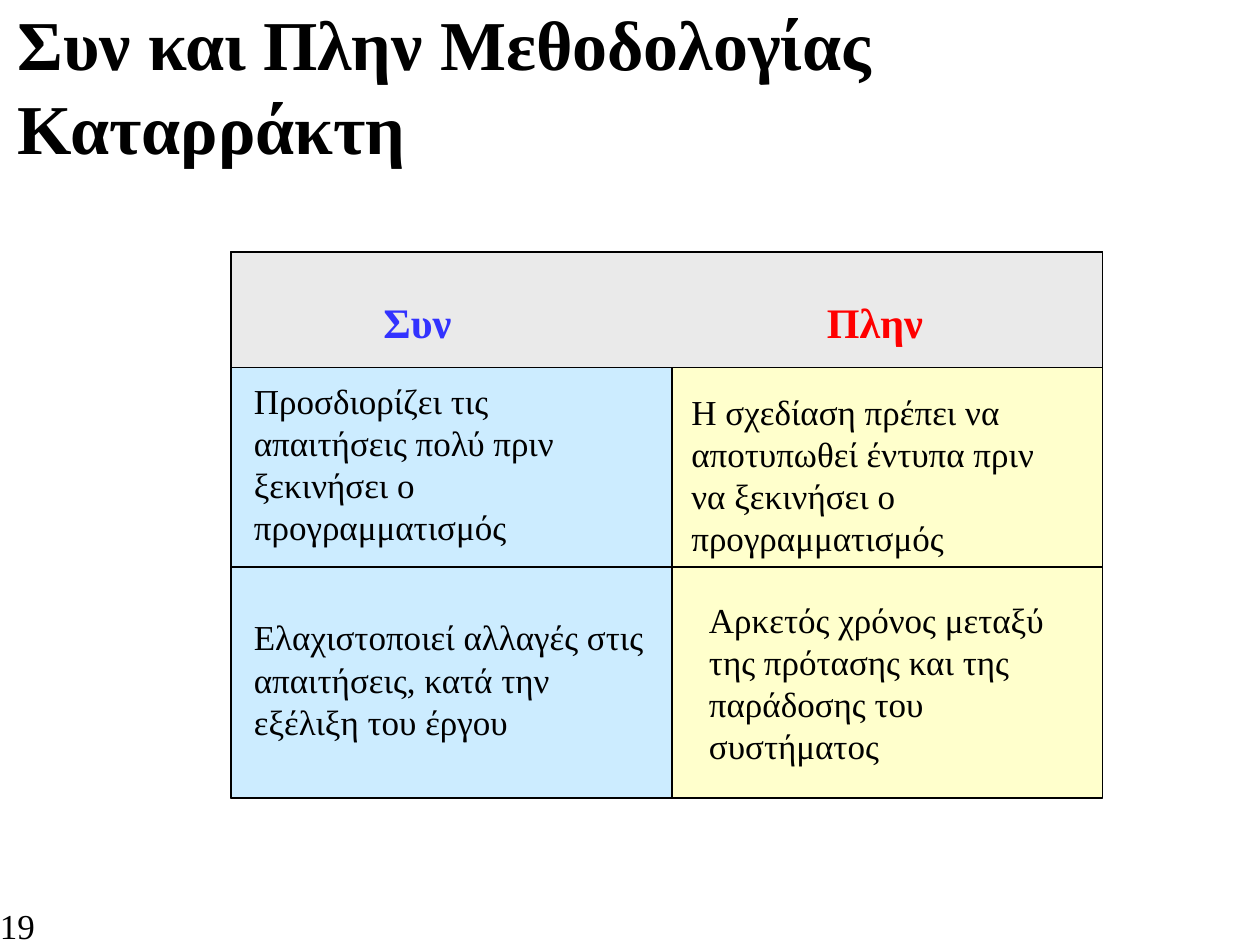
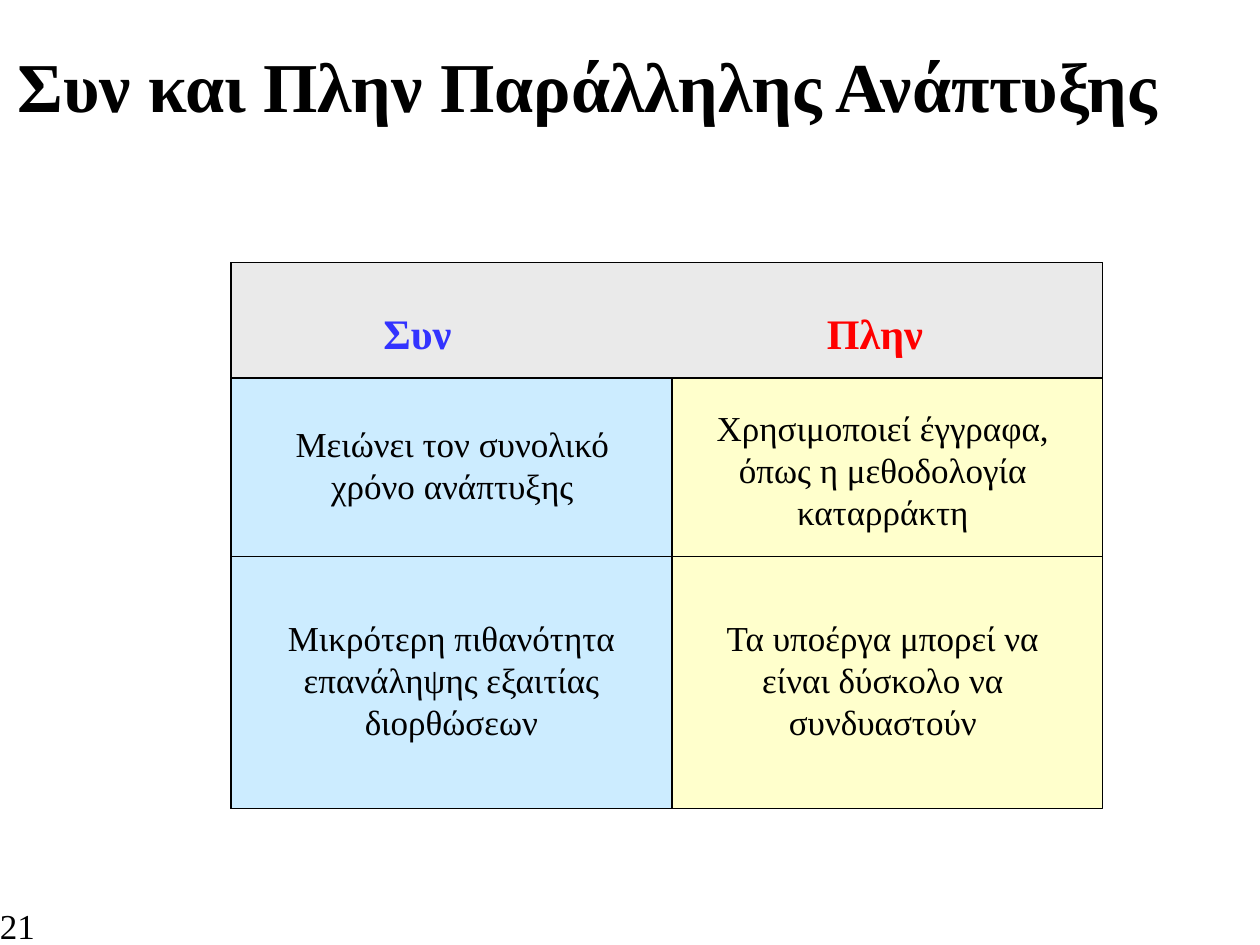
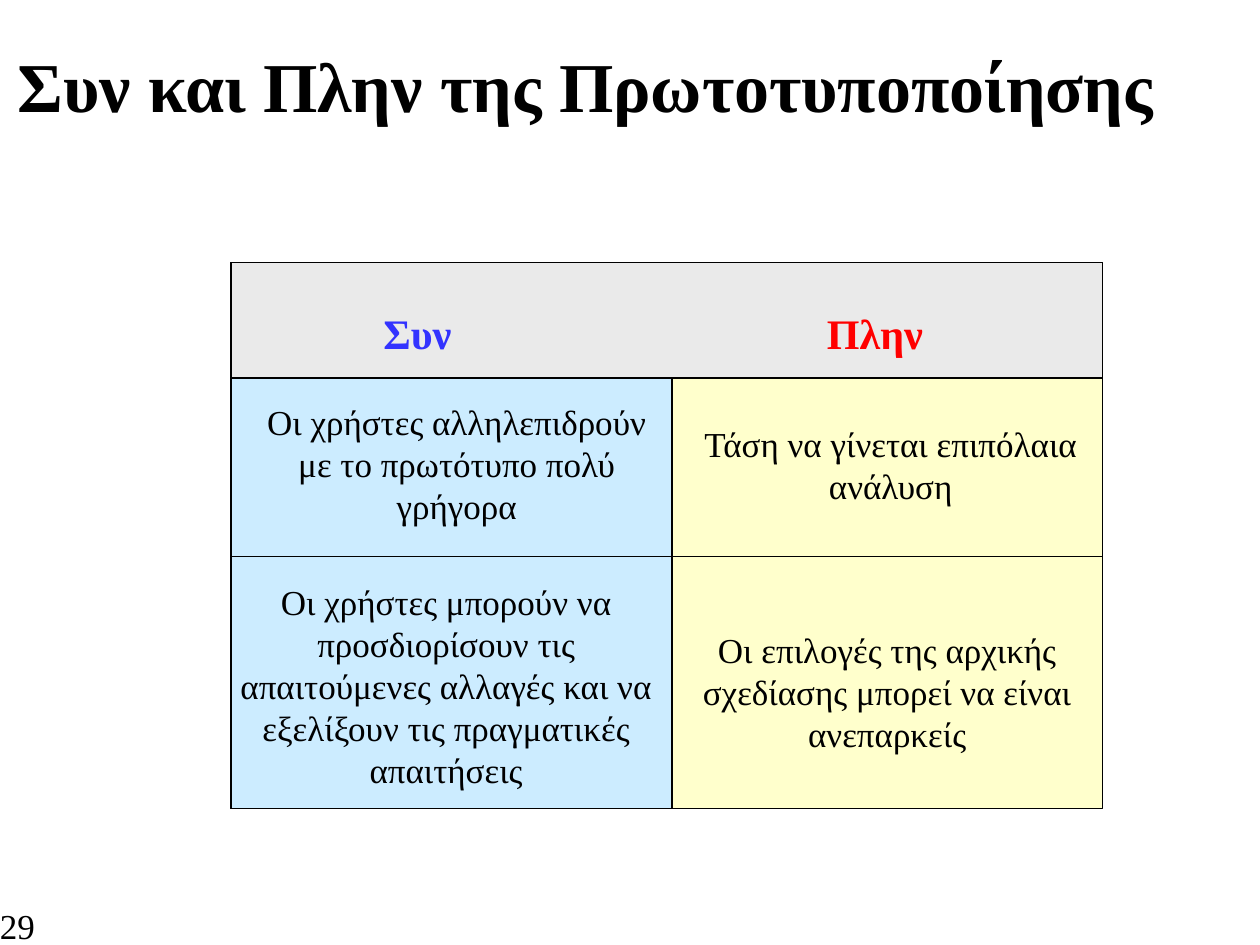
from lxml import etree
from pptx import Presentation
from pptx.dml.color import RGBColor
from pptx.enum.shapes import MSO_CONNECTOR as Connector, MSO_SHAPE as Shape
from pptx.enum.text import MSO_ANCHOR as Anchor, PP_ALIGN as Align
from pptx.oxml.ns import qn
from pptx.util import Pt

FONT = "Times New Roman"
BLACK = "000000"
PROS_FILL, CONS_FILL, HEADER_FILL = "CCECFF", "FFFFCC", "EAEAEA"

# Headings: text, colour, left, width
HEADINGS = [("Συν", "3333FF", 209.5, 58), ("Πλην", "FF0000", 461.5, 77)]

# Arguments: text, (left, top, width, height)
SLIDES = [
    {
        "title": "Συν και Πλην Μεθοδολογίας Καταρράκτη",
        "number": "19",
        "grid_top": 144,
        "row_split": 324,
        "align": Align.LEFT,
        "pros": [
            ("Προσδιορίζει τις απαιτήσεις πολύ πριν ξεκινήσει ο προγραμματισμός",
             (138, 213, 239, 104)),
            ("Ελαχιστοποιεί αλλαγές στις απαιτήσεις, κατά την εξέλιξη του έργου",
             (138, 348.5, 239, 79)),
        ],
        "cons": [
            ("Η σχεδίαση πρέπει να αποτυπωθεί έντυπα πριν να ξεκινήσει ο προγραμματισμός",
             (388, 219, 233, 104)),
            ("Αρκετός χρόνος μεταξύ της πρότασης και της παράδοσης του συστήματος",
             (398, 338, 228, 104)),
        ],
    },
    {
        "title": "Συν και Πλην Παράλληλης Ανάπτυξης",
        "number": "21",
        "grid_top": 150,
        "row_split": 318,
        "align": Align.CENTER,
        "pros": [
            ("Μειώνει τον συνολικό χρόνο ανάπτυξης", (145, 238, 227, 55)),
            ("Μικρότερη πιθανότητα επανάληψης εξαιτίας διορθώσεων",
             (139, 349, 238, 79)),
        ],
        "cons": [
            ("Χρησιμοποιεί έγγραφα, όπως η μεθοδολογία καταρράκτη",
             (388, 216, 233, 104)),
            ("Τα υποέργα μπορεί να είναι δύσκολο να συνδυαστούν",
             (388, 349, 233, 79)),
        ],
    },
    {
        "title": "Συν και Πλην της Πρωτοτυποποίησης",
        "number": "29",
        "grid_top": 150,
        "row_split": 318,
        "align": Align.CENTER,
        "pros": [
            ("Οι χρήστες αλληλεπιδρούν με το πρωτότυπο πολύ γρήγορα",
             (139, 213, 244, 104)),
            ("Οι χρήστες μπορούν να προσδιορίσουν τις απαιτούμενες αλλαγές "
             "και να εξελίξουν τις πραγματικές απαιτήσεις",
             (127.5, 328, 255, 127)),
        ],
        "cons": [
            ("Τάση να γίνεται επιπόλαια ανάλυση", (388, 238, 242, 55)),
            ("Οι επιλογές της αρχικής σχεδίασης μπορεί να είναι ανεπαρκείς",
             (388, 343, 238, 104)),
        ],
    },
]

GRID_LEFT, GRID_WIDTH, GRID_HEIGHT = 132, 498, 312
HEADER_HEIGHT, PROS_WIDTH = 66, 252
HEADING_DROP, HEADING_HEIGHT = 22, 36
TITLE_BOX = (3, 3.5, 717, 90)
NUMBER_BOX = (0, 519, 78, 20)


def rgb(value):
    return RGBColor.from_string(value)


def add_text(slide, text, box, size=20, color=BLACK, bold=False,
             align=Align.LEFT, wrap=True, inset=(7.2, 3.6)):
    frame = slide.shapes.add_textbox(*map(Pt, box)).text_frame
    frame.word_wrap = wrap
    frame.vertical_anchor = Anchor.MIDDLE
    frame.margin_left = frame.margin_right = Pt(inset[0])
    frame.margin_top = frame.margin_bottom = Pt(inset[1])
    paragraph = frame.paragraphs[0]
    paragraph.alignment = align
    run = paragraph.add_run()
    run.text = text
    run.font.name, run.font.size, run.font.bold = FONT, Pt(size), bold
    run.font.color.rgb = rgb(color)


def add_panel(slide, box, fill):
    panel = slide.shapes.add_shape(Shape.RECTANGLE, *map(Pt, box))
    panel.shadow.inherit = False
    panel.fill.solid()
    panel.fill.fore_color.rgb = rgb(fill)
    panel.line.color.rgb = rgb(BLACK)
    panel.line.width = Pt(1)


def add_row_divider(slide, y):
    divider = slide.shapes.add_connector(
        Connector.STRAIGHT, Pt(GRID_LEFT), Pt(y), Pt(GRID_LEFT + GRID_WIDTH), Pt(y))
    divider.line.color.rgb = rgb(BLACK)
    divider.line.width = Pt(1)
    etree.SubElement(divider._element.spPr, qn("a:effectLst"))


def add_grid(slide, top, row_split):
    body_top = top + HEADER_HEIGHT
    add_panel(slide, (GRID_LEFT, top, GRID_WIDTH, GRID_HEIGHT), CONS_FILL)
    add_panel(slide, (GRID_LEFT, top, GRID_WIDTH, HEADER_HEIGHT), HEADER_FILL)
    add_panel(slide, (GRID_LEFT, body_top, PROS_WIDTH, GRID_HEIGHT - HEADER_HEIGHT),
              PROS_FILL)
    add_row_divider(slide, row_split)
    for text, color, left, width in HEADINGS:
        add_text(slide, text, (left, top + HEADING_DROP, width, HEADING_HEIGHT),
                 size=24, color=color, bold=True, align=Align.CENTER, wrap=False)


def main():
    deck = Presentation()
    deck.slide_width, deck.slide_height = Pt(720), Pt(540)
    for content in SLIDES:
        slide = deck.slides.add_slide(deck.slide_layouts[6])
        add_text(slide, content["title"], TITLE_BOX, size=40, bold=True)
        add_grid(slide, content["grid_top"], content["row_split"])
        for argument, box in content["pros"] + content["cons"]:
            add_text(slide, argument, box, align=content["align"])
        add_text(slide, content["number"], NUMBER_BOX, inset=(0, 0))
    deck.save("out.pptx")


if __name__ == "__main__":
    main()
